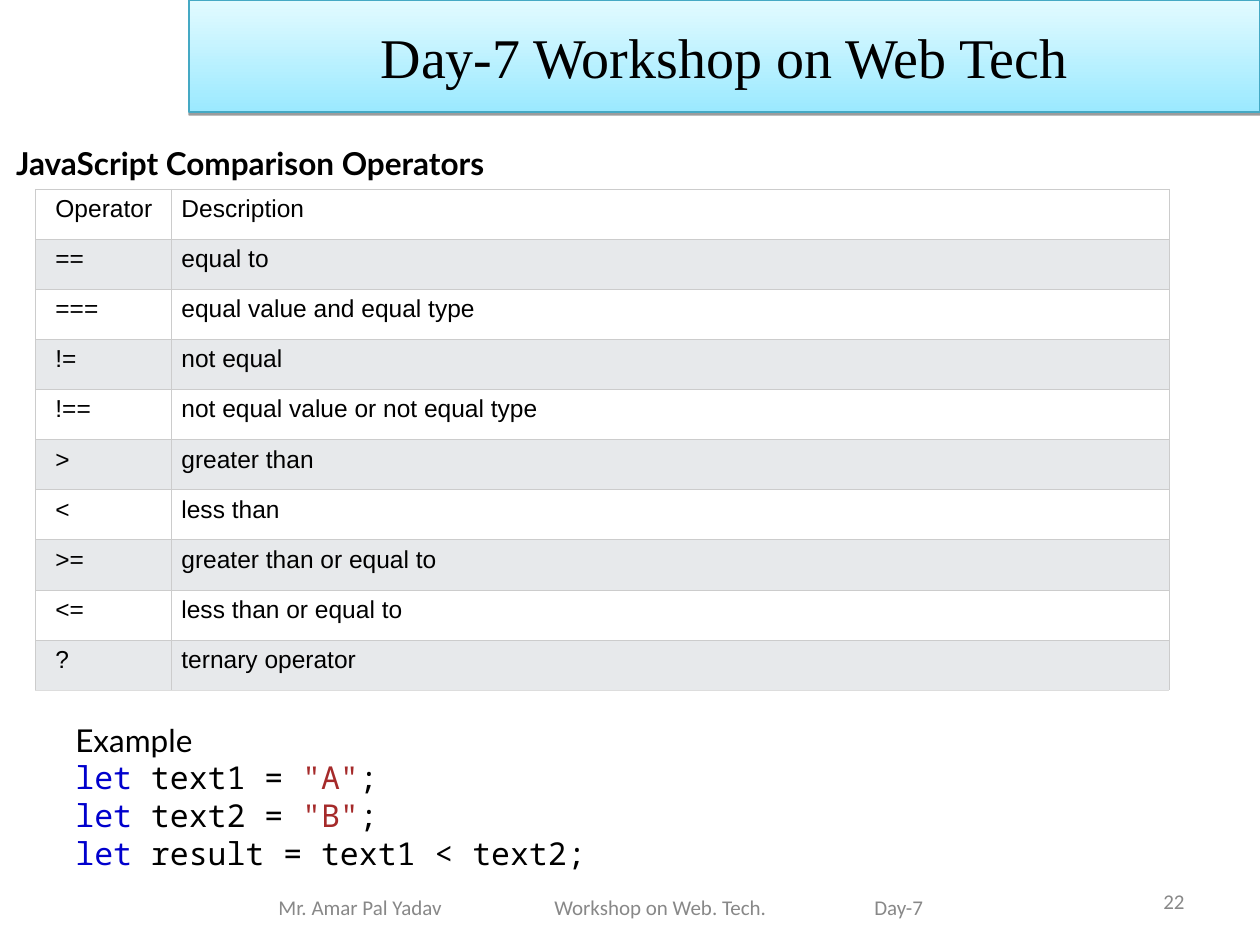
from lxml.etree import SubElement
from pptx import Presentation
from pptx.dml.color import RGBColor
from pptx.enum.shapes import MSO_SHAPE_TYPE
from pptx.enum.text import MSO_ANCHOR, MSO_AUTO_SIZE, PP_ALIGN
from pptx.oxml.ns import qn
from pptx.util import Inches, Pt

BLACK = RGBColor(0x00, 0x00, 0x00)
WHITE = RGBColor(0xFF, 0xFF, 0xFF)
BAND = RGBColor(0xE7, 0xE9, 0xEB)
GREY = RGBColor(0x88, 0x88, 0x88)
RULE = RGBColor(0xCC, 0xCC, 0xCC)
LAST_RULE = RGBColor(0xDD, 0xDD, 0xDD)
KEYWORD = RGBColor(0x00, 0x00, 0xCD)
STRING = RGBColor(0xA5, 0x2A, 0x2A)
SKY_DARK = RGBColor(0x9B, 0xE9, 0xFF)
SKY_LIGHT = RGBColor(0xE2, 0xFB, 0xFF)
TEAL = RGBColor(0x45, 0xA9, 0xC4)

TITLE = "Day-7 Workshop on Web Tech"
HEADING = "JavaScript Comparison Operators"
FOOTER = ["Mr. Amar Pal Yadav", "Workshop on Web. Tech.", "Day-7"]
FOOTER_TABS = [2.19, 4.73]
PAGE = "22"
OPERATORS = [
    ("Operator", "Description"),
    ("==", "equal to"),
    ("===", "equal value and equal type"),
    ("!=", "not equal"),
    ("!==", "not equal value or not equal type"),
    (">", "greater than"),
    ("<", "less than"),
    (">=", "greater than or equal to"),
    ("<=", "less than or equal to"),
    ("?", "ternary operator"),
]
COL_WIDTHS = [1.08, 7.92]
COL_INSETS = [0.16, 0.08]
TABLE_HEIGHT = 3.98
CODE = [
    [("let", KEYWORD), (" text1 = ", BLACK), ('"A"', STRING), (";", BLACK)],
    [("let", KEYWORD), (" text2 = ", BLACK), ('"B"', STRING), (";", BLACK)],
    [("let", KEYWORD), (" result = text1 < text2;", BLACK)],
]


def add_run(p, text, size, font, color=BLACK, bold=False):
    r = p.add_run()
    r.text = text
    r.font.size, r.font.name, r.font.bold = Pt(size), font, bold
    r.font.color.rgb = color


def add_box(slide, x, y, w, h, anchor=MSO_ANCHOR.TOP, wrap=True):
    tf = slide.shapes.add_textbox(Inches(x), Inches(y), Inches(w), Inches(h)).text_frame
    tf.word_wrap = wrap
    tf.vertical_anchor = anchor
    return tf


def add_title(slide):
    sp = slide.shapes.title
    sp.left, sp.top, sp.width, sp.height = Inches(1.5), 0, Inches(8.5), Inches(0.89)
    sp.fill.gradient()
    sp.fill.gradient_angle = 90
    for stop, color in zip(sp.fill.gradient_stops, (SKY_DARK, SKY_LIGHT)):
        stop.color.rgb = color
    sp.line.color.rgb = TEAL
    sp.line.width = Pt(0.75)
    effects = SubElement(sp.element.spPr, qn("a:effectLst"))
    shadow = SubElement(effects, qn("a:outerShdw"), blurRad="0", dist=str(Pt(1.6)),
                        dir="5400000", rotWithShape="0")
    color = SubElement(shadow, qn("a:srgbClr"), val=str(BLACK))
    SubElement(color, qn("a:alpha"), val="38000")
    tf = sp.text_frame
    tf.auto_size = MSO_AUTO_SIZE.NONE
    tf.vertical_anchor = MSO_ANCHOR.MIDDLE
    p = tf.paragraphs[0]
    p.alignment = PP_ALIGN.CENTER
    add_run(p, TITLE, 32, "Times New Roman")


def set_borders(cell, bottom):
    tc_pr = cell._tc.get_or_add_tcPr()
    for side, color in zip("LRTB", (RULE, RULE, RULE, bottom)):
        ln = SubElement(tc_pr, qn("a:ln" + side), w=str(Pt(0.34)))
        SubElement(SubElement(ln, qn("a:solidFill")), qn("a:srgbClr"), val=str(color))


def add_operator_table(slide):
    table = slide.shapes.add_table(
        len(OPERATORS), len(COL_WIDTHS), Inches(0.28), Inches(1.5),
        Inches(sum(COL_WIDTHS)), Inches(TABLE_HEIGHT)).table
    table.first_row = table.horz_banding = False
    for col, width in zip(table.columns, COL_WIDTHS):
        col.width = Inches(width)
    for i, row in enumerate(OPERATORS):
        for j, text in enumerate(row):
            cell = table.cell(i, j)
            set_borders(cell, LAST_RULE if i == len(OPERATORS) - 1 else RULE)
            cell.fill.solid()
            cell.fill.fore_color.rgb = BAND if i % 2 else WHITE
            cell.margin_left, cell.margin_right = Inches(COL_INSETS[j]), Inches(0.08)
            cell.margin_top = cell.margin_bottom = Inches(0.05)
            add_run(cell.text_frame.paragraphs[0], text, 14, "Arial")


def add_example(slide):
    tf = add_box(slide, 0.5, 5.67, 5, 1.3)
    add_run(tf.paragraphs[0], "Example", 18, "Lato")
    p = tf.add_paragraph()
    for i, line in enumerate(CODE):
        if i:
            p.add_line_break()
        for text, color in line:
            add_run(p, text, 18, "Noto Sans Mono", color)


def add_footer(slide):
    tf = add_box(slide, 1.4, 7, 6.77, 0.4, MSO_ANCHOR.MIDDLE)
    tf.margin_left = Inches(0.81)
    p = tf.paragraphs[0]
    tabs = SubElement(p._p.get_or_add_pPr(), qn("a:tabLst"))
    for pos in FOOTER_TABS:
        SubElement(tabs, qn("a:tab"), pos=str(Inches(pos)), algn="l")
    add_run(p, "\t".join(FOOTER), 12, "Calibri", GREY)

    p = add_box(slide, 7.17, 6.95, 2.33, 0.4, MSO_ANCHOR.MIDDLE).paragraphs[0]
    p.alignment = PP_ALIGN.RIGHT
    add_run(p, PAGE, 12, "Calibri", GREY)


def main():
    prs = Presentation()
    prs.slide_width, prs.slide_height = Inches(10), Inches(7.5)
    slide = prs.slides.add_slide(prs.slide_layouts[5])
    add_title(slide)
    heading = add_box(slide, 0.03, 1.09, 4.35, 0.4, wrap=False)
    add_run(heading.paragraphs[0], HEADING, 18, "Lato", bold=True)
    add_operator_table(slide)
    add_example(slide)
    add_footer(slide)
    prs.save("out.pptx")


if __name__ == "__main__":
    main()
